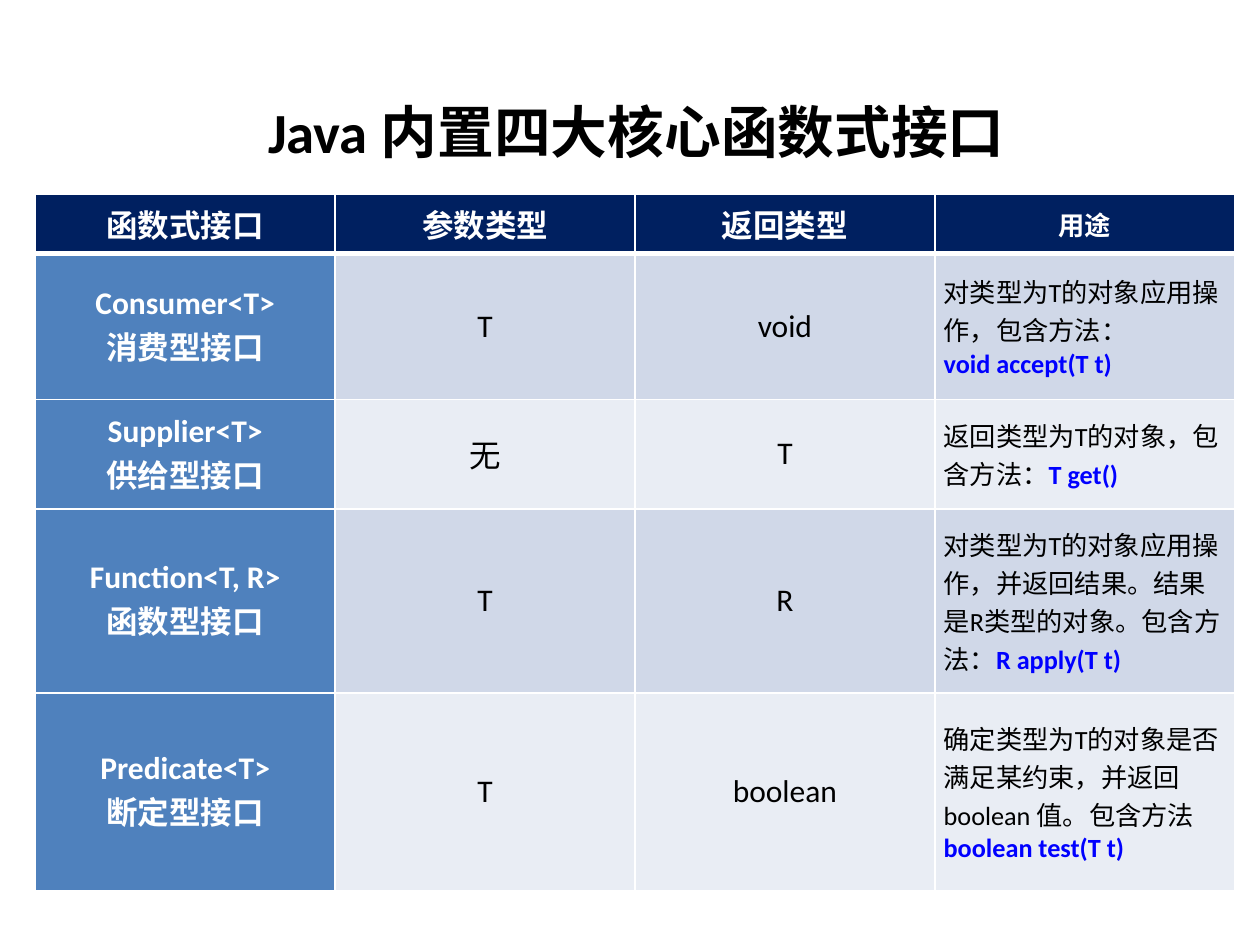
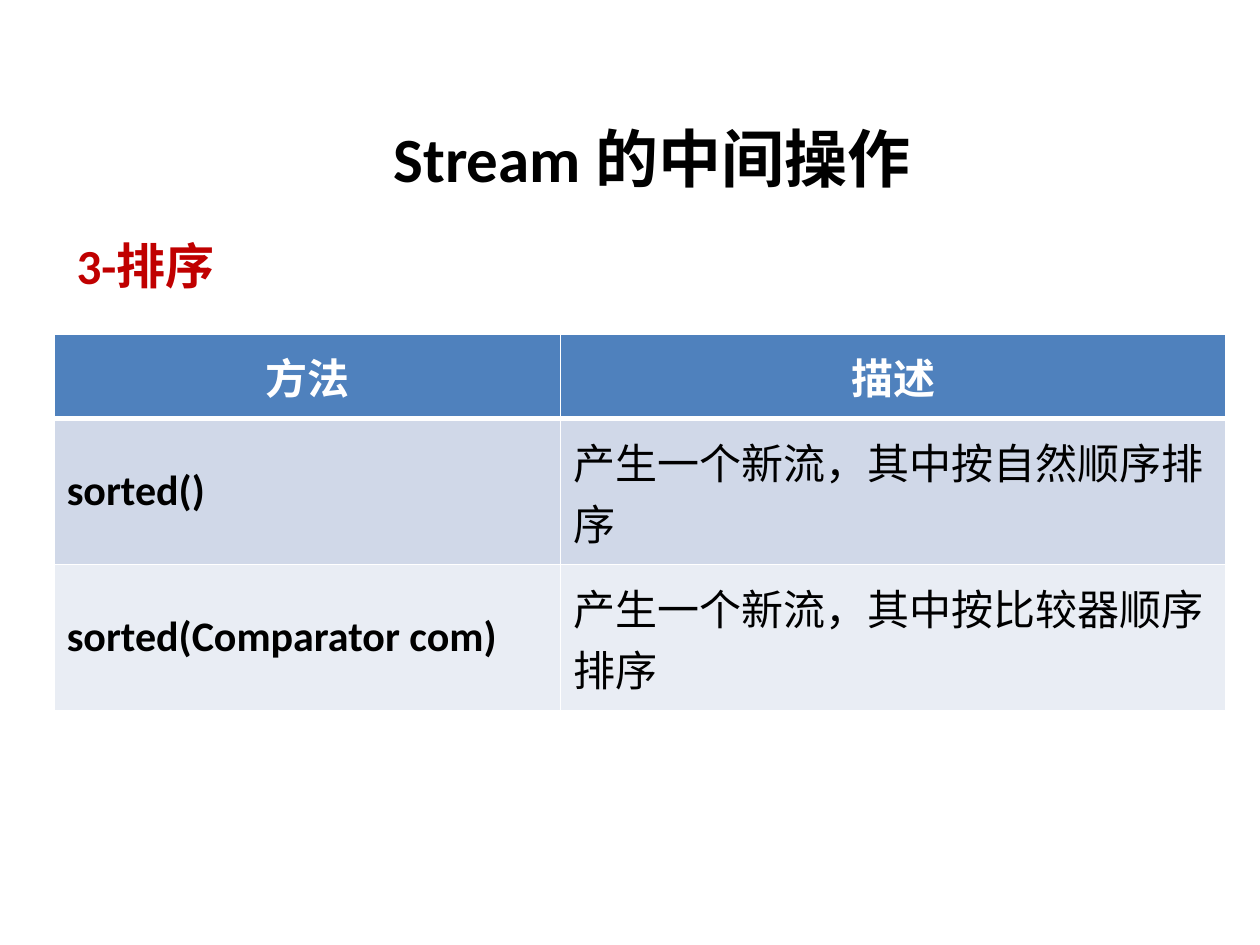
import pptx
import pptx.util
import pptx.dml.color
import pptx.enum.text
import pptx.oxml
import pptx.oxml.ns

Inches = pptx.util.Inches
Pt = pptx.util.Pt
ALIGN = pptx.enum.text.PP_ALIGN
MIDDLE = pptx.enum.text.MSO_ANCHOR.MIDDLE

FONT = "Calibri"
COLORS = {
    "text": "000000",
    "white": "FFFFFF",
    "navy": "002060",
    "blue": "4F81BD",
    "band_dark": "D0D8E8",
    "band_light": "E9EDF4",
    "method": "0000FF",
    "heading": "C00000",
}
BANDS = ["band_dark", "band_light"]


def write_text(frame, paragraphs, size, color, bold, align):
    """Write paragraphs of (text, is_method) runs; methods are bold blue."""
    for number, runs in enumerate(paragraphs):
        para = frame.paragraphs[0] if number == 0 else frame.add_paragraph()
        para.alignment = align
        for text, is_method in runs:
            span = para.add_run()
            span.text = text
            span.font.name = FONT
            span.font.size = Pt(size)
            span.font.bold = bold or is_method
            shade = COLORS["method" if is_method else color]
            span.font.color.rgb = pptx.dml.color.RGBColor.from_string(shade)


def style_cell(cell, row, fill):
    """Centre the cell vertically, draw white borders and fill it."""
    cell.vertical_anchor = MIDDLE
    properties = cell._tc.get_or_add_tcPr()
    # A thick rule separates the header from the body
    widths = {"L": 1, "R": 1, "T": 3 if row == 1 else 1, "B": 3 if row == 0 else 1}
    for position, (side, width) in enumerate(widths.items()):
        border = pptx.oxml.parse_xml(
            f'<a:ln{side} {pptx.oxml.ns.nsdecls("a")} w="{Pt(width)}"><a:solidFill>'
            f'<a:srgbClr val="{COLORS["white"]}"/></a:solidFill></a:ln{side}>')
        properties.insert(position, border)
    cell.fill.solid()
    cell.fill.fore_color.rgb = pptx.dml.color.RGBColor.from_string(COLORS[fill])


deck = pptx.Presentation()
deck.slide_width = Inches(10)
deck.slide_height = Inches(7.5)

# Each page: title, its size and place, then its table
interfaces = [
    ("Consumer<T>", "消费型接口", "T", "void",
     [[("对类型为T的对象应用操作，包含方法：", False)], [("void accept(T t)", True)]]),
    ("Supplier<T>", "供给型接口", "无", "T",
     [[("返回类型为T的对象，包含方法：", False), ("T get()", True)]]),
    ("Function<T, R>", "函数型接口", "T", "R",
     [[("对类型为T的对象应用操作，并返回结果。结果是R类型的对象。包含方法：", False),
       ("R apply(T t)", True)]]),
    ("Predicate<T>", "断定型接口", "T", "boolean",
     [[("确定类型为T的对象是否满足某约束，并返回 boolean 值。包含方法", False)],
      [("boolean test(T t)", True)]]),
]
methods = [
    ("sorted()", "产生一个新流，其中按自然顺序排序"),
    ("sorted(Comparator com)", "产生一个新流，其中按比较器顺序排序"),
]
page_plans = [
    ("Java 内置四大核心函数式接口", 32.4, (1.95, 0.6, 6.2, 0.87),
     (0.28, 1.54), [2.38] * 4, [0.47, 1.16, 0.87, 1.46, 1.57]),
    ("Stream 的中间操作", 36, (2.75, 0.81, 4.85, 0.87),
     (0.43, 2.65), [4.02, 5.28], [0.67, 1.16, 1.16]),
]

pages, tables = [], []
for title_text, title_size, title_place, corner, columns, rows in page_plans:
    page = deck.slides.add_slide(deck.slide_layouts[5])
    title = page.shapes.title
    title.left, title.top, title.width, title.height = map(Inches, title_place)
    frame = title.text_frame
    frame.auto_size = pptx.enum.text.MSO_AUTO_SIZE.NONE
    frame.vertical_anchor = MIDDLE
    frame.margin_left = frame.margin_right = 0
    write_text(frame, [[(title_text, False)]], title_size, "text", True, ALIGN.CENTER)

    table = page.shapes.add_table(
        len(rows), len(columns), *map(Inches, corner),
        Inches(sum(columns)), Inches(sum(rows))).table
    for column, width in zip(table.columns, columns):
        column.width = Inches(width)
    for row, height in zip(table.rows, rows):
        row.height = Inches(height)
    pages.append(page)
    tables.append(table)

# Functional interfaces
interface_table, method_table = tables
for column, label in enumerate(["函数式接口", "参数类型", "返回类型", "用途"]):
    cell = interface_table.cell(0, column)
    style_cell(cell, 0, "navy")
    write_text(cell.text_frame, [[(label, False)]], 15 if column == 3 else 18,
               "white", True, ALIGN.CENTER)
for row, (name, label, argument, result, purpose) in enumerate(interfaces, start=1):
    contents = [[[(name, False)], [(label, False)]],
                [[(argument, False)]], [[(result, False)]], purpose]
    for column, paragraphs in enumerate(contents):
        cell = interface_table.cell(row, column)
        is_name, is_purpose = column == 0, column == 3
        style_cell(cell, row, "blue" if is_name else BANDS[(row - 1) % 2])
        write_text(cell.text_frame, paragraphs, 15 if is_purpose else 18,
                   "white" if is_name else "text", is_name,
                   ALIGN.LEFT if is_purpose else ALIGN.CENTER)
for cell in interface_table.iter_cells():
    cell.margin_left = cell.margin_right = Inches(0.07)
    cell.margin_top = cell.margin_bottom = 0

# Sorting methods
box = pages[1].shapes.add_textbox(Inches(0.51), Inches(1.73), Inches(2.44), Inches(0.66))
box.text_frame.word_wrap = True
write_text(box.text_frame, [[("3-排序", False)]], 28, "heading", True, ALIGN.LEFT)
box.text_frame.paragraphs[0].line_spacing = Pt(40)

for row, labels in enumerate([("方法", "描述"), *methods]):
    is_header = row == 0
    for column, label in enumerate(labels):
        cell = method_table.cell(row, column)
        style_cell(cell, row, "blue" if is_header else BANDS[(row - 1) % 2])
        write_text(cell.text_frame, [[(label, False)]], 24,
                   "white" if is_header else "text", is_header or column == 0,
                   ALIGN.CENTER if is_header else ALIGN.LEFT)

deck.save("out.pptx")
